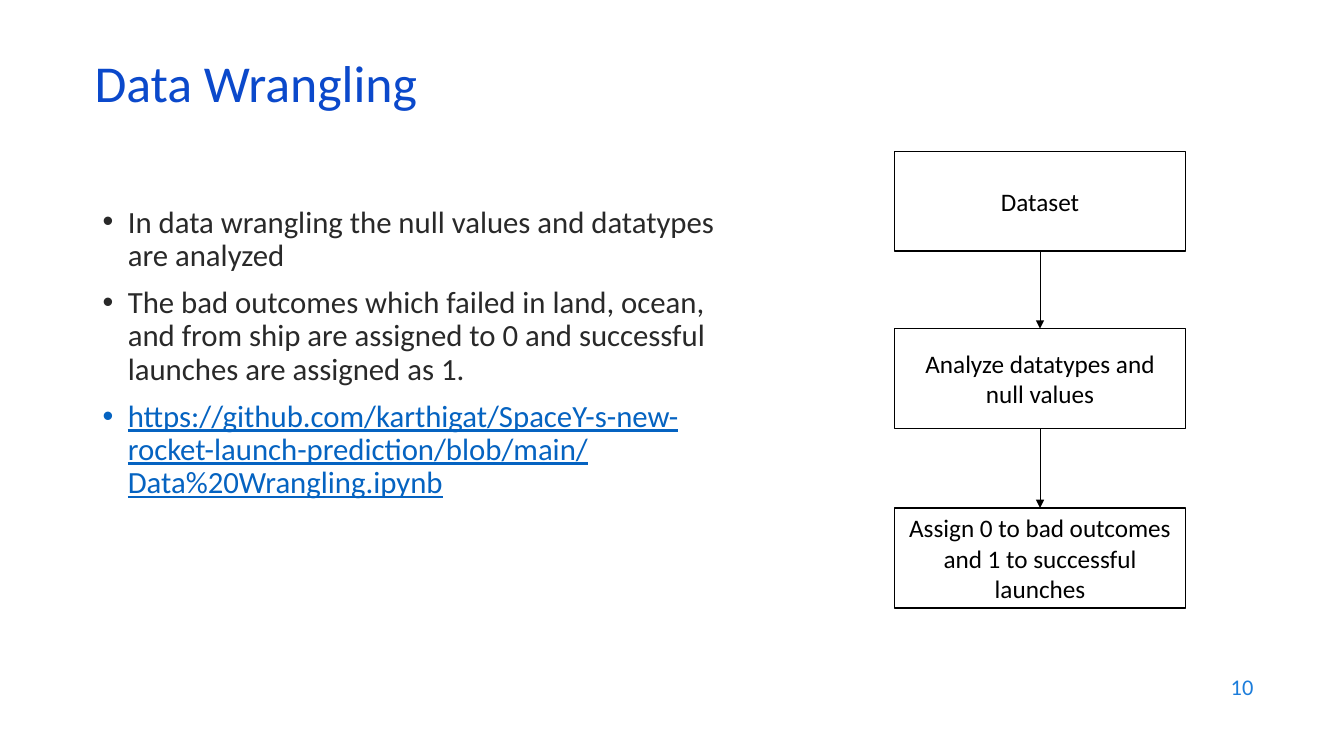
import pptx
import pptx.util
import pptx.dml.color
import pptx.enum.shapes
import pptx.enum.text
import pptx.oxml.ns
import lxml.etree

PX = 9144
FONT = "Calibri"
COLORS = {
    "title": "0B49CB",
    "body": "292929",
    "link": "0563C1",
    "number": "1C7DDB",
    "box": "FFFFFF",
    "ink": "000000",
}
ALIGN = pptx.enum.text.PP_ALIGN
MIDDLE = pptx.enum.text.MSO_ANCHOR.MIDDLE

BULLETS = [
    ("In data wrangling the null values and datatypes are analyzed", "body"),
    ("The bad outcomes which failed in land, ocean, and from ship are assigned "
     "to 0 and successful launches are assigned as 1.", "body"),
    ("https://github.com/karthigat/SpaceY-s-new-rocket-launch-prediction/blob/main/"
     "Data%20Wrangling.ipynb", "link"),
]
STEPS = [
    ("Dataset", 150),
    ("Analyze datatypes and null values", 326),
    ("Assign 0 to bad outcomes and 1 to successful launches", 504),
]
STEP_LEFT, STEP_WIDTH, STEP_HEIGHT = 887, 289, 99


def px(*lengths):
    return [pptx.util.Emu(length * PX) for length in lengths]


def rgb(name):
    return pptx.dml.color.RGBColor.from_string(COLORS[name])


def add_child(parent, tag, **attributes):
    return lxml.etree.SubElement(parent, pptx.oxml.ns.qn(tag), attributes)


def add_run(paragraph, text, size, color):
    run = paragraph.add_run()
    run.text = text
    run.font.name = FONT
    run.font.size = pptx.util.Pt(size)
    run.font.color.rgb = rgb(color)
    return run


def add_label(slide, box, text, size, color, align=ALIGN.LEFT, line_spacing=1.0):
    frame = slide.shapes.add_textbox(*px(*box)).text_frame
    frame.word_wrap = True
    frame.vertical_anchor = MIDDLE
    paragraph = frame.paragraphs[0]
    paragraph.alignment = align
    paragraph.line_spacing = line_spacing
    add_run(paragraph, text, size, color)


def add_bullets(slide, box, items):
    frame = slide.shapes.add_textbox(*px(*box)).text_frame
    frame.word_wrap = True
    for index, (text, color) in enumerate(items):
        paragraph = frame.add_paragraph() if index else frame.paragraphs[0]
        paragraph.line_spacing = 0.9
        paragraph.space_before = pptx.util.Pt(10 if index else 0)
        properties = paragraph._p.get_or_add_pPr()
        properties.set("marL", str(25 * PX))
        properties.set("indent", str(-25 * PX))
        add_child(properties, "a:buFont", typeface="Arial")
        add_child(properties, "a:buChar", char="•")
        run = add_run(paragraph, text, 22, color)
        if color == "link":
            run.font.underline = True


def add_step(slide, text, top):
    shape = slide.shapes.add_shape(
        pptx.enum.shapes.MSO_SHAPE.RECTANGLE,
        *px(STEP_LEFT, top, STEP_WIDTH, STEP_HEIGHT))
    shape.shadow.inherit = False
    shape.fill.solid()
    shape.fill.fore_color.rgb = rgb("box")
    shape.line.color.rgb = rgb("ink")
    shape.line.width = pptx.util.Pt(1)
    frame = shape.text_frame
    frame.word_wrap = True
    frame.vertical_anchor = MIDDLE
    frame.paragraphs[0].alignment = ALIGN.CENTER
    add_run(frame.paragraphs[0], text, 18, "ink")
    return shape


def add_arrow(slide, upper, lower):
    connector = slide.shapes.add_connector(
        pptx.enum.shapes.MSO_CONNECTOR.STRAIGHT, 0, 0, 0, 0)
    connector.begin_connect(upper, 2)
    connector.end_connect(lower, 0)
    connector.line.color.rgb = rgb("ink")
    connector.line.width = pptx.util.Pt(0.5)
    add_child(connector.line._get_or_add_ln(), "a:tailEnd", type="triangle")
    add_child(connector._element.spPr, "a:effectLst")


def main():
    presentation = pptx.Presentation()
    presentation.slide_width, presentation.slide_height = px(1333, 750)
    slide = presentation.slides.add_slide(presentation.slide_layouts[6])
    add_bullets(slide, (92, 200, 627, 476), BULLETS)
    add_label(slide, (953, 659, 300, 44), "10", 16, "number", align=ALIGN.RIGHT)
    add_label(slide, (84, 59, 1150, 60), "Data Wrangling", 37, "title", line_spacing=0.7)
    steps = [add_step(slide, text, top) for text, top in STEPS]
    for upper, lower in zip(steps, steps[1:]):
        add_arrow(slide, upper, lower)
    presentation.save("out.pptx")


if __name__ == "__main__":
    main()
